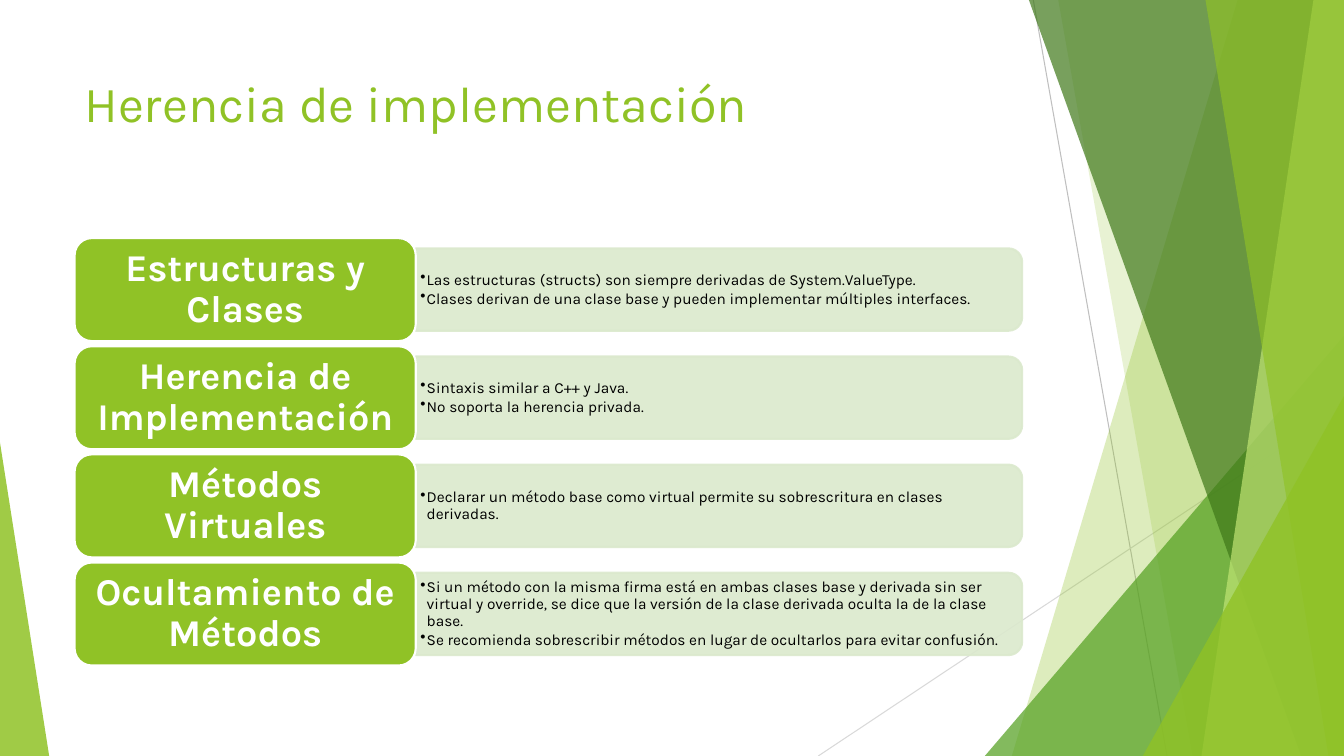
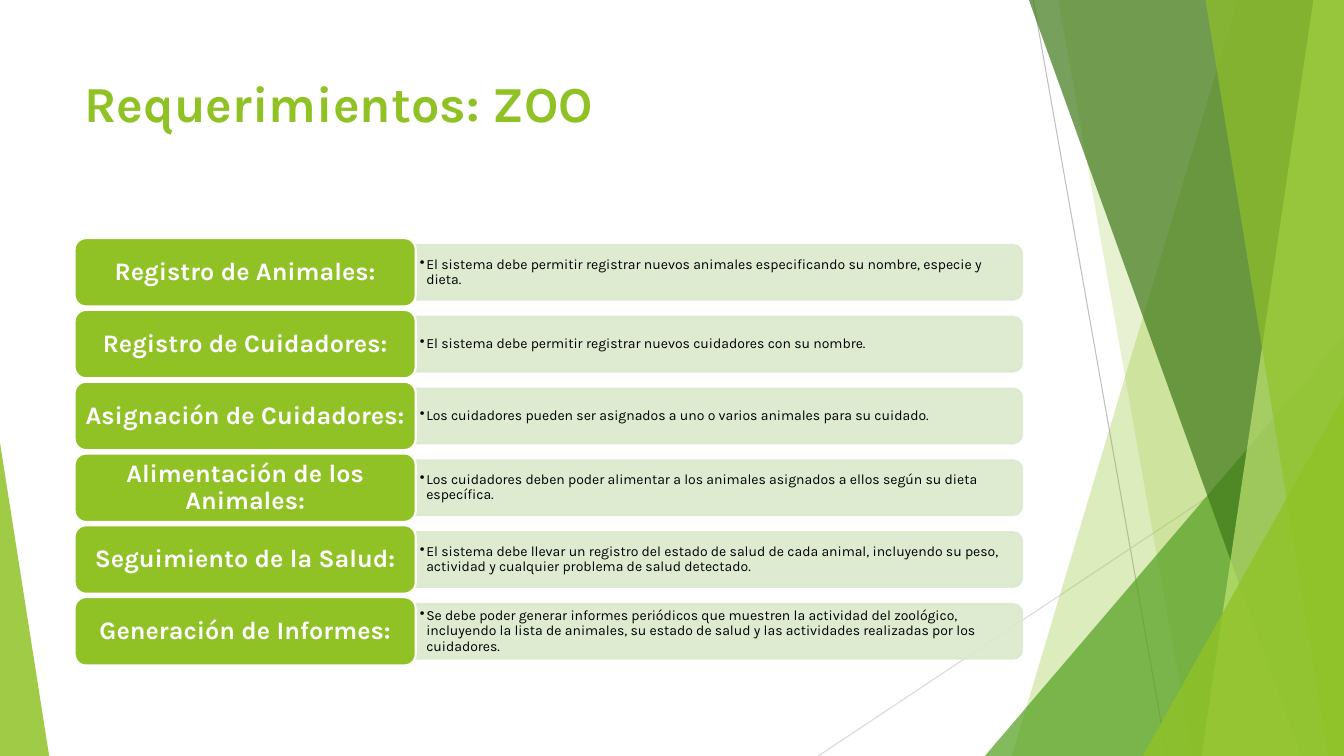
import dataclasses

import lxml.etree
import pptx
import pptx.dml.color
import pptx.enum.shapes
import pptx.enum.text
import pptx.oxml.ns
import pptx.util

Cm, Pt = pptx.util.Cm, pptx.util.Pt
RGB = pptx.dml.color.RGBColor.from_string
KIND = pptx.enum.shapes.MSO_SHAPE
ALIGN = pptx.enum.text.PP_ALIGN
ANCHOR = pptx.enum.text.MSO_ANCHOR
qn = pptx.oxml.ns.qn


@dataclasses.dataclass(frozen=True)
class Theme:
    font: str = "Karla"
    lime: str = "90C226"
    leaf: str = "54A021"
    moss: str = "3F7819"
    pale: str = "C0E474"
    band: str = "DBE9CD"
    ink: str = "000000"
    white: str = "FFFFFF"
    gray: str = "BFBFBF"
    mist: str = "D9D9D9"
    title: int = 36
    edge: float = 1.5
    hair: float = 0.75


THEME = Theme()
WIDE, HIGH = 33.87, 19.05
PAGE = (0, 0, WIDE, HIGH)
HEAD = (1.88, 1.7, 23.88, 3.66)
LIST = (1.88, 6.0, 23.88, 10.77)

# Facets from back to front: colour, opacity, then corners,
# or the box and tip of a triangle
FACETS = [
    (THEME.lime, 30, [(31.19, 0), (WIDE, 0), (WIDE, HIGH), (25.5, HIGH)]),
    (THEME.lime, 20, [(26.67, 0), (WIDE, 0), (WIDE, HIGH), (30.05, HIGH)]),
    (THEME.leaf, 72, (24.82, 8.46, 9.05, 10.59, 1)),
    (THEME.moss, 70, [(25.93, 0), (WIDE, 0), (WIDE, HIGH), (32.79, HIGH)]),
    (THEME.pale, 70, [(33.1, 0), (WIDE, 0), (WIDE, HIGH), (30.28, HIGH)]),
    (THEME.lime, 65, [(30.38, 0), (WIDE, 0), (WIDE, HIGH), (33.48, HIGH)]),
    (THEME.lime, 80, (28.8, 9.98, 5.07, 9.07, 1)),
    (THEME.lime, 85, (0, 11.15, 1.24, 7.9, 0)),
]
RAYS = [
    (THEME.gray, 26.04, 0, 29.41, HIGH),
    (THEME.mist, WIDE, 10.24, 20.62, HIGH),
]


def paint(shape, color, alpha=100, edge=None):
    """Fill a shape, outline it if edge is given, and set its opacity."""
    shape.shadow.inherit = False
    shape.fill.solid()
    shape.fill.fore_color.rgb = RGB(color)
    if edge:
        shape.line.color.rgb = RGB(edge)
        shape.line.width = Pt(THEME.edge)
    else:
        shape.line.fill.background()
    if alpha < 100:
        for tone in shape._element.spPr.iter(qn("a:srgbClr")):
            lxml.etree.SubElement(tone, qn("a:alpha")).set("val", str(alpha * 1000))


def style(para, size, color, bold=False):
    para.font.name = THEME.font
    para.font.size = Pt(size)
    para.font.bold = bold
    para.font.color.rgb = RGB(color)


def frame(shape, size):
    """Centre text vertically, with margins that follow its size."""
    text = shape.text_frame
    text.word_wrap = True
    text.vertical_anchor = ANCHOR.MIDDLE
    text.margin_left = text.margin_right = Pt(0.3 * size)
    text.margin_top = text.margin_bottom = Pt(0.15 * size)
    return text


def space(para, after):
    para.line_spacing = 0.9
    para.space_after = Pt(after)


def dot(para):
    props = para._p.get_or_add_pPr()
    props.set("marL", str(Cm(0.16)))
    props.set("indent", str(-Cm(0.16)))
    lxml.etree.SubElement(props, qn("a:buChar")).set("char", "•")


def decor(slide, box):
    """Rays and translucent facets behind the content."""
    left, top = box[:2]
    for color, x1, y1, x2, y2 in RAYS:
        ray = slide.shapes.add_connector(
            pptx.enum.shapes.MSO_CONNECTOR.STRAIGHT,
            Cm(left + x1), Cm(top + y1), Cm(left + x2), Cm(top + y2))
        ray.line.color.rgb = RGB(color)
        ray.line.width = Pt(THEME.hair)
        lxml.etree.SubElement(ray._element.spPr, qn("a:effectLst"))
    for color, alpha, form in FACETS:
        if isinstance(form, tuple):
            x, y, wide, high, tip = form
            facet = slide.shapes.add_shape(
                KIND.ISOSCELES_TRIANGLE,
                Cm(left + x), Cm(top + y), Cm(wide), Cm(high))
            facet.adjustments[0] = tip
        else:
            ends = [(Cm(left + x), Cm(top + y)) for x, y in form]
            build = slide.shapes.build_freeform(*ends[0])
            build.add_line_segments(ends[1:], close=True)
            facet = build.convert_to_shape()
        paint(facet, color, alpha)


def title(slide, box, words, bold):
    text = slide.shapes.add_textbox(*map(Cm, box)).text_frame
    text.word_wrap = True
    text.text = words
    style(text.paragraphs[0], THEME.title, THEME.lime, bold)


def row(slide, box, label, notes, big, small):
    """A label at the left, joined to a band that holds its notes."""
    left, top, wide, high = box
    split = 0.36 * wide
    rest, thick = wide - split, 0.8 * high
    start, mid = left + split, top + high / 2

    # Band: turned so that its round corners face right
    band = slide.shapes.add_shape(
        KIND.ROUND_2_SAME_RECTANGLE,
        Cm(start + (rest - thick) / 2), Cm(mid - rest / 2), Cm(thick), Cm(rest))
    band.rotation = 90
    paint(band, THEME.band, 90, THEME.band)

    # Notes
    note = slide.shapes.add_textbox(
        Cm(start), Cm(mid - thick / 2), Cm(rest - 0.1), Cm(thick))
    text = frame(note, small)
    text.text = "\n".join(notes)
    for para in text.paragraphs:
        space(para, 0.15 * small)
        dot(para)
        style(para, small, THEME.ink)

    # Label
    tag = slide.shapes.add_shape(
        KIND.ROUNDED_RECTANGLE, Cm(left), Cm(top), Cm(split), Cm(high))
    paint(tag, THEME.lime, edge=THEME.white)
    text = frame(tag, big)
    text.text = label
    para = text.paragraphs[0]
    para.alignment = ALIGN.CENTER
    space(para, 0.35 * big)
    style(para, big, THEME.white, True)


def rows(slide, box, items, big, small):
    """Equal rows, with gaps of a twentieth of a row."""
    left, top, wide, high = box
    tall = high / (len(items) + 0.05 * (len(items) - 1))
    for i, (label, *notes) in enumerate(items):
        place = (left, top + i * 1.05 * tall, wide, tall)
        row(slide, place, label, notes, big, small)


SLIDES = [
    ("Herencia de implementación", False, 27, 11, [
        ("Estructuras y Clases",
         "Las estructuras (structs) son siempre derivadas de System.ValueType.",
         "Clases derivan de una clase base y pueden implementar múltiples interfaces."),
        ("Herencia de Implementación",
         "Sintaxis similar a C++ y Java.",
         "No soporta la herencia privada."),
        ("Métodos Virtuales",
         "Declarar un método base como virtual permite su sobrescritura en clases "
         "derivadas."),
        ("Ocultamiento de Métodos",
         "Si un método con la misma firma está en ambas clases base y derivada sin ser "
         "virtual y override, se dice que la versión de la clase derivada oculta la de "
         "la clase base.",
         "Se recomienda sobrescribir métodos en lugar de ocultarlos para evitar "
         "confusión."),
    ]),
    ("Requerimientos: ZOO", True, 18, 10, [
        ("Registro de Animales:",
         "El sistema debe permitir registrar nuevos animales especificando su nombre, "
         "especie y dieta."),
        ("Registro de Cuidadores:",
         "El sistema debe permitir registrar nuevos cuidadores con su nombre."),
        ("Asignación de Cuidadores:",
         "Los cuidadores pueden ser asignados a uno o varios animales para su cuidado."),
        ("Alimentación de los Animales:",
         "Los cuidadores deben poder alimentar a los animales asignados a ellos según "
         "su dieta específica."),
        ("Seguimiento de la Salud:",
         "El sistema debe llevar un registro del estado de salud de cada animal, "
         "incluyendo su peso, actividad y cualquier problema de salud detectado."),
        ("Generación de Informes:",
         "Se debe poder generar informes periódicos que muestren la actividad del "
         "zoológico, incluyendo la lista de animales, su estado de salud y las "
         "actividades realizadas por los cuidadores."),
    ]),
]


def main():
    deck = pptx.Presentation()
    deck.slide_width, deck.slide_height = Cm(WIDE), Cm(HIGH)
    for words, bold, big, small, items in SLIDES:
        slide = deck.slides.add_slide(deck.slide_layouts[6])
        decor(slide, PAGE)
        title(slide, HEAD, words, bold)
        rows(slide, LIST, items, big, small)
    deck.save("out.pptx")


if __name__ == "__main__":
    main()
